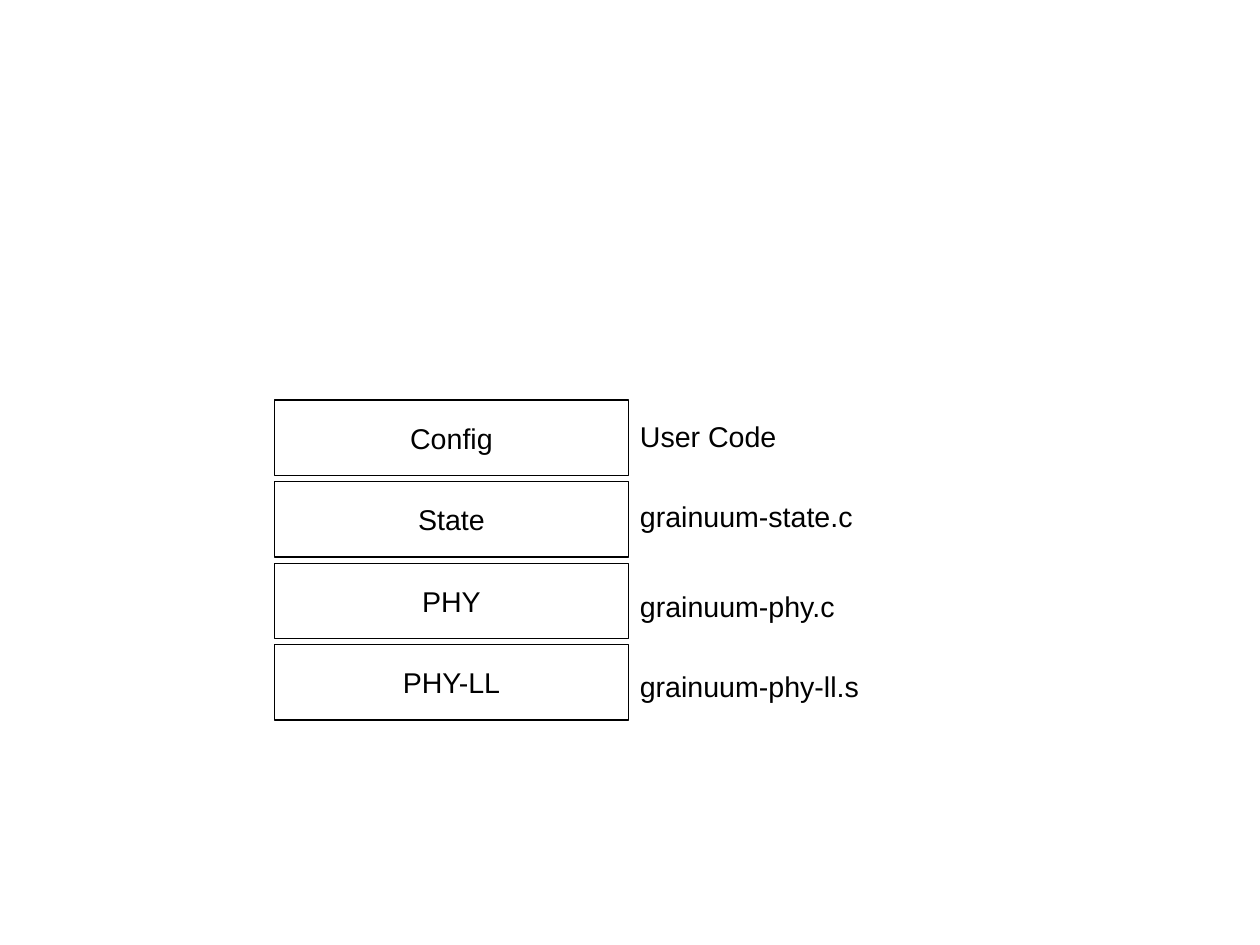
import pptx
import pptx.dml.color
import pptx.enum.shapes
import pptx.enum.text
import pptx.util

Inches = pptx.util.Inches
RGBColor = pptx.dml.color.RGBColor
BLACK = RGBColor(0x00, 0x00, 0x00)
WHITE = RGBColor(0xFF, 0xFF, 0xFF)

CM_PER_INCH = 2.54
BOX_BOTTOM_TOP = 5.64
BOX_PITCH = (5.64 - 3.5) / 3
LAYERS = ["PHY-LL", "PHY", "State", "Config"]
LABELS = [
    ("grainuum-phy-ll.s", 5.8, 2.13),
    ("grainuum-phy.c", 5.1, 1.92),
    ("grainuum-state.c", 4.32, 2.08),
    ("User Code", 3.62, 1.41),
]


def write_text(tf, text, align):
    tf.word_wrap = False
    p = tf.paragraphs[0]
    p.alignment = align
    r = p.add_run()
    r.text = text
    r.font.name = "Arial"
    r.font.size = pptx.util.Pt(18)
    r.font.color.rgb = BLACK


def add_layer_box(s, text, top):
    sp = s.shapes.add_shape(
        pptx.enum.shapes.MSO_SHAPE.RECTANGLE,
        Inches(2.4), Inches(top), Inches(3.1), Inches(0.66))
    sp.shadow.inherit = False
    sp.fill.solid()
    sp.fill.fore_color.rgb = WHITE
    sp.line.color.rgb = BLACK
    sp.line.width = pptx.util.Pt(0)
    sp.text_frame.vertical_anchor = pptx.enum.text.MSO_ANCHOR.MIDDLE
    write_text(sp.text_frame, text, pptx.enum.text.PP_ALIGN.CENTER)


def add_file_label(s, text, top, width):
    sp = s.shapes.add_textbox(
        Inches(5.5), Inches(top), Inches(width), Inches(0.38))
    sp.text_frame.auto_size = pptx.enum.text.MSO_AUTO_SIZE.SHAPE_TO_FIT_TEXT
    write_text(sp.text_frame, text, pptx.enum.text.PP_ALIGN.LEFT)


def main():
    prs = pptx.Presentation()
    prs.slide_width = Inches(28 / CM_PER_INCH)
    prs.slide_height = Inches(21 / CM_PER_INCH)
    s = prs.slides.add_slide(prs.slide_layouts[6])
    for i, layer in enumerate(LAYERS):
        add_layer_box(s, layer, BOX_BOTTOM_TOP - i * BOX_PITCH)
    for text, top, width in LABELS:
        add_file_label(s, text, top, width)
    prs.save("out.pptx")


if __name__ == "__main__":
    main()
